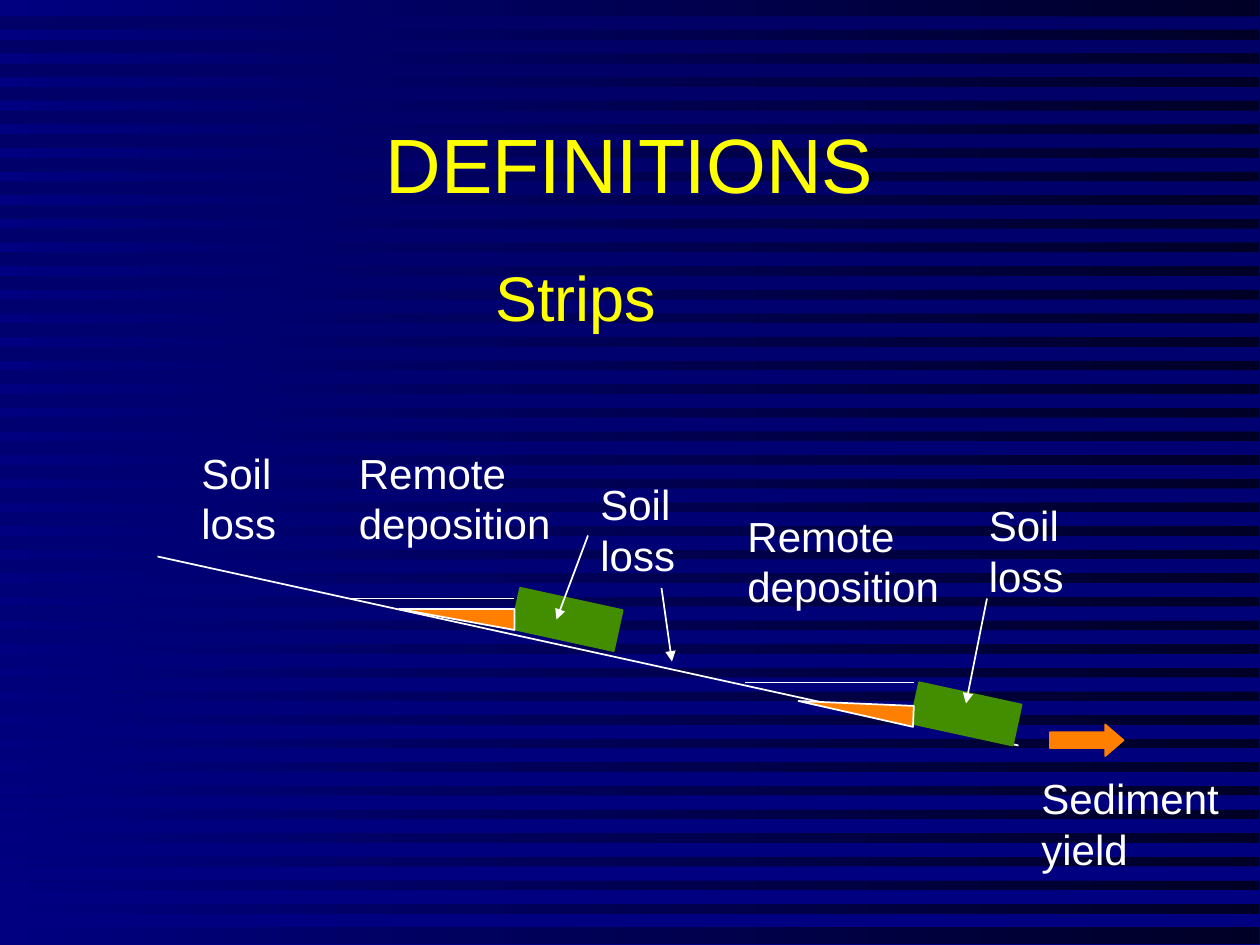
from dataclasses import dataclass

import pptx
import pptx.util
import pptx.dml.color
import pptx.enum.shapes
import pptx.enum.text
import pptx.oxml.ns
from lxml import etree

COLS, ROWS = 120, 90
CELL = pptx.util.Inches(10) // COLS
KIND = pptx.enum.shapes.MSO_SHAPE
ANCHOR = pptx.enum.text.MSO_ANCHOR
ALIGN = pptx.enum.text.PP_ALIGN
FIT = pptx.enum.text.MSO_AUTO_SIZE


@dataclass(frozen=True)
class Theme:
    font: str = "Arial"
    head: int = 44
    sub: int = 36
    body: int = 24
    title: str = "FFFF00"
    text: str = "FFFFFF"
    soil: str = "FF8000"
    strip: str = "438E00"
    dark: str = "000026"
    mid: str = "000066"
    navy: str = "000080"


@dataclass(frozen=True)
class Label:
    text: str
    x: float
    y: float
    w: float
    h: float = 10.8
    size: int = Theme.body
    color: str = Theme.text
    title: bool = False


@dataclass(frozen=True)
class Line:
    x1: float
    y1: float
    x2: float
    y2: float
    arrow: bool = False


@dataclass(frozen=True)
class Block:
    kind: KIND
    x: float
    y: float
    w: float
    h: float
    color: str
    turn: float = 0


@dataclass(frozen=True)
class Wedge:
    x: float
    y: float
    turn: float = 0


LABELS = [
    Label("DEFINITIONS", 9, 8, 102, 15, Theme.head, Theme.title, True),
    Label("Strips", 46, 24, 27, 8.4, Theme.sub, Theme.title),
    Label("Soil loss", 18, 42, 17),
    Label("Remote deposition", 33, 42, 22),
    Label("Soil loss", 56, 45, 14),
    Label("Remote deposition", 70, 48, 22),
    Label("Soil loss", 93, 47, 17),
    Label("Sediment yield", 98, 73, 22),
]
SLOPE = Line(15, 53, 97, 71)
BLOCKS = [
    Block(KIND.RIGHT_ARROW, 100, 69, 7, 3, Theme.soil),
    Block(KIND.RECTANGLE, 49, 57, 10, 4, Theme.strip, 12.3),
    Block(KIND.RECTANGLE, 87, 66, 10, 4, Theme.strip, 12.3),
]
LINES = [
    Line(49, 57, 33, 57),
    Line(87, 65, 71, 65),
    Line(56, 51, 53, 59, True),
    Line(63, 56, 64, 63, True),
    Line(94, 57, 92, 67, True),
]
WEDGES = [Wedge(38, 58), Wedge(76, 67, 2.4)]


def grid(*vals: float) -> list[int]:
    """Turn grid columns or rows into slide lengths."""
    return [round(v * CELL) for v in vals]


def rgb(color: str):
    return pptx.dml.color.RGBColor.from_string(color)


def apply(obj, form: dict) -> None:
    for key, val in form.items():
        setattr(obj, key, val)


def fade(fill, first: str, last: str, angle: float) -> None:
    fill.gradient()
    fill.gradient_angle = angle
    for stop, color in zip(fill.gradient_stops, (first, last)):
        stop.color.rgb = rgb(color)


def paint(shape, color: str, edge: str) -> None:
    shape.shadow.inherit = False
    shape.fill.solid()
    shape.fill.fore_color.rgb = rgb(color)
    shape.line.color.rgb = rgb(edge)
    shape.line.width = pptx.util.Pt(1)


def outline(shapes, points: list[tuple[float, float]]):
    dots = [tuple(grid(*dot)) for dot in points]
    form = shapes.build_freeform(*dots[0], scale=1.0)
    form.add_line_segments(dots[1:], close=True)
    return form.convert_to_shape()


def draw_back(slide) -> None:
    """Fade the slide to dark on the right, with a comb of stripes on top."""
    fade(slide.background.fill, Theme.mid, Theme.navy, 270)
    base = slide.shapes.add_shape(KIND.RECTANGLE, 0, 0, *grid(119.9, 89.9))
    fade(base.fill, Theme.dark, Theme.navy, 180)
    teeth, top, step, deep = 39, 1.56, 2.25, 1.26
    points = []
    for num in range(teeth):
        y = top + num * step
        points += [(COLS, y), (0, y), (0, y + deep), (COLS, y + deep)]
    comb = outline(slide.shapes, points)
    fade(comb.fill, Theme.mid, Theme.navy, 270)
    for shape in (base, comb):
        shape.shadow.inherit = False
        shape.line.fill.background()


def draw_label(shapes, item: Label) -> None:
    box = shapes.add_textbox(*grid(item.x, item.y, item.w, item.h))
    apply(box.text_frame, {
        "text": item.text,
        "word_wrap": True,
        "auto_size": FIT.NONE if item.title else FIT.SHAPE_TO_FIT_TEXT,
        "vertical_anchor": ANCHOR.MIDDLE if item.title else ANCHOR.TOP,
    })
    para = box.text_frame.paragraphs[0]
    para.alignment = ALIGN.CENTER if item.title else ALIGN.LEFT
    font = para.runs[0].font
    apply(font, {"name": Theme.font, "size": pptx.util.Pt(item.size)})
    font.color.rgb = rgb(item.color)


def draw_line(shapes, item: Line) -> None:
    kind = pptx.enum.shapes.MSO_CONNECTOR.STRAIGHT
    line = shapes.add_connector(
        kind, *grid(item.x1, item.y1, item.x2, item.y2))
    line.line.color.rgb = rgb(Theme.text)
    line.line.width = pptx.util.Pt(1)
    name = pptx.oxml.ns.qn
    props = line._element.spPr
    if item.arrow:
        tail = etree.SubElement(props.find(name("a:ln")), name("a:tailEnd"))
        tail.set("type", "triangle")
    etree.SubElement(props, name("a:effectLst"))


def draw_block(shapes, item: Block) -> None:
    shape = shapes.add_shape(
        item.kind, *grid(item.x, item.y, item.w, item.h))
    shape.rotation = item.turn
    if item.kind == KIND.RIGHT_ARROW:
        shape.adjustments[1] = 0.58
    paint(shape, item.color, item.color)


def draw_wedge(shapes, item: Wedge) -> None:
    x, y = item.x, item.y
    shape = outline(shapes, [(x, y), (x + 11, y), (x + 11, y + 2)])
    shape.rotation = item.turn
    paint(shape, Theme.soil, Theme.text)


def main() -> None:
    deck = pptx.Presentation()
    wide, high = grid(COLS, ROWS)
    apply(deck, {"slide_width": wide, "slide_height": high})
    slide = deck.slides.add_slide(deck.slide_layouts[6])
    draw_back(slide)
    draw_line(slide.shapes, SLOPE)
    for draw, items in ((draw_label, LABELS), (draw_block, BLOCKS),
                        (draw_line, LINES), (draw_wedge, WEDGES)):
        for item in items:
            draw(slide.shapes, item)
    deck.save("out.pptx")


if __name__ == "__main__":
    main()
